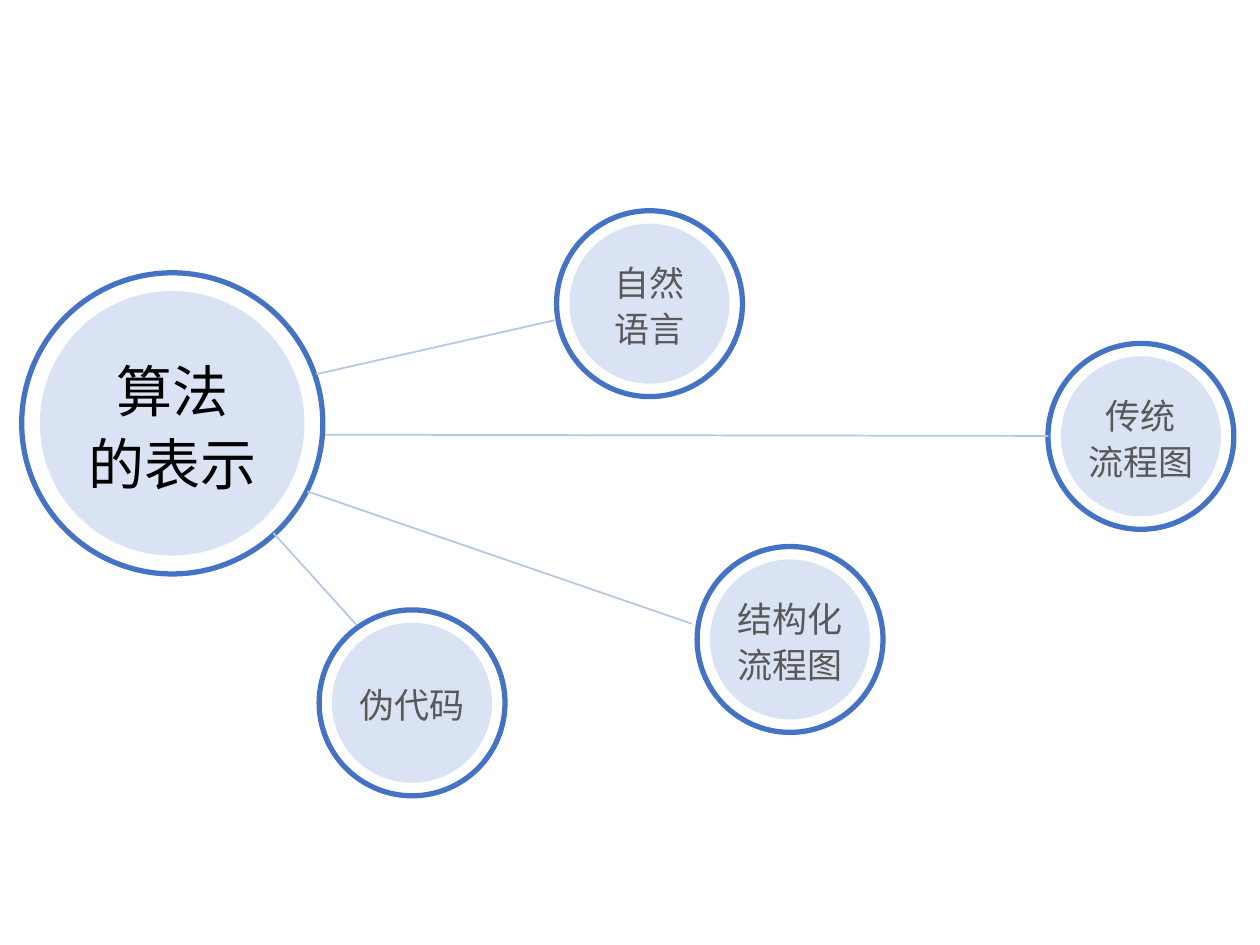
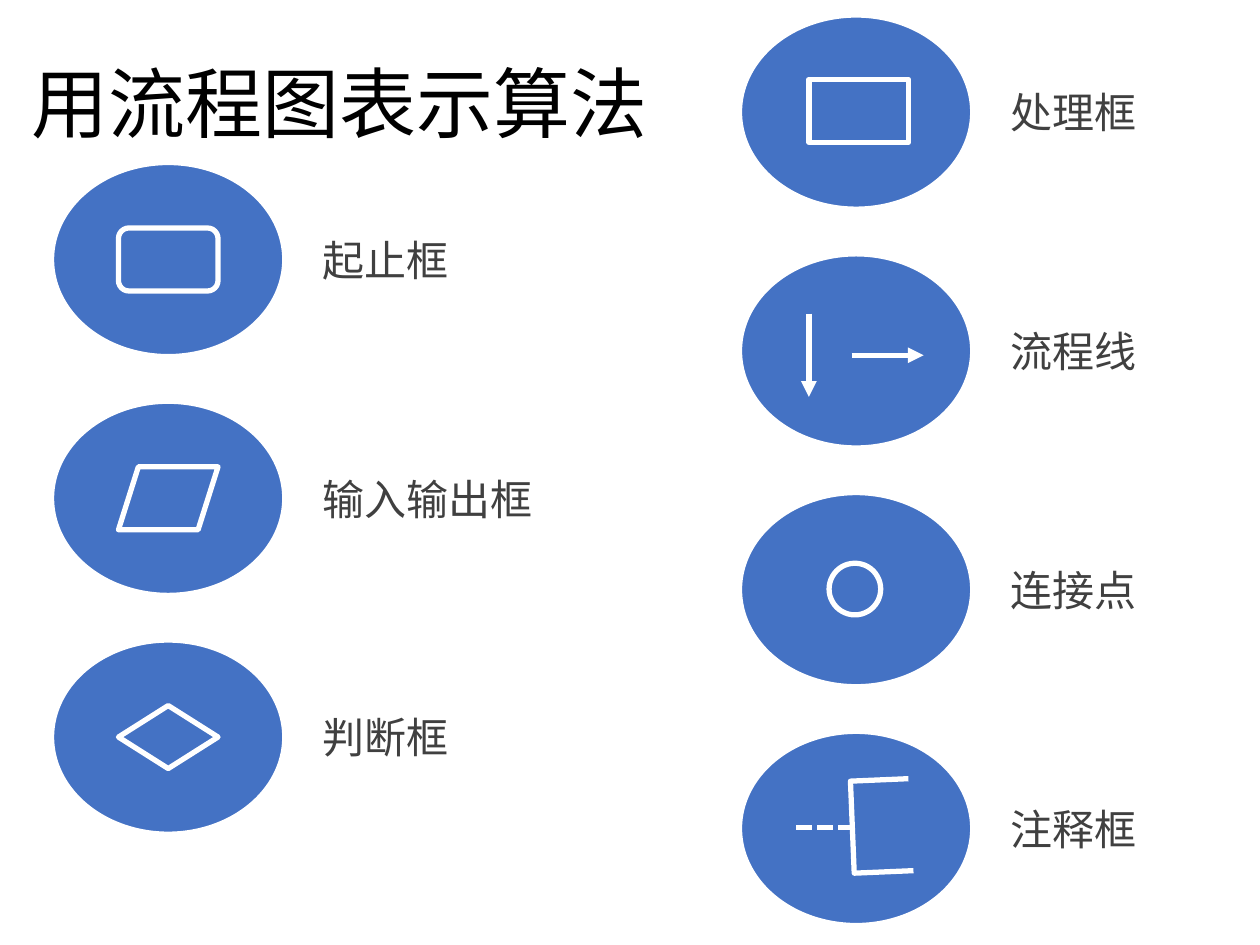
import dataclasses
import typing

import pptx
import pptx.dml.color
import pptx.enum.dml
import pptx.enum.shapes
import pptx.enum.text
import pptx.oxml
import pptx.oxml.ns
import pptx.util

RGBColor = pptx.dml.color.RGBColor
Shapes = pptx.enum.shapes.MSO_SHAPE
Align = pptx.enum.text.PP_ALIGN
Anchor = pptx.enum.text.MSO_ANCHOR

BLUE = RGBColor(0x44, 0x72, 0xC4)
PALE_BLUE = RGBColor(0xDA, 0xE3, 0xF3)
LINK_BLUE = RGBColor(0xB4, 0xC7, 0xE7)
WHITE = RGBColor(0xFF, 0xFF, 0xFF)
BLACK = RGBColor(0x00, 0x00, 0x00)
DARK_GREY = RGBColor(0x40, 0x40, 0x40)
MID_GREY = RGBColor(0x59, 0x59, 0x59)

LATIN_FONT = "Calibri"
CHINESE_FONT = "Noto Sans CJK SC"

SLIDE_WIDTH = pptx.util.Inches(10)
SLIDE_HEIGHT = pptx.util.Inches(7.5)
GRID_COLUMNS = 100  # square cells, so the slide has 75 rows

Point = tuple[float, float]


def cells(count: float) -> int:
    return round(SLIDE_WIDTH * count / GRID_COLUMNS)


@dataclasses.dataclass(frozen=True)
class Topic:
    text: str
    centre: Point
    disc: float = 12.7
    ring: float = 14.75
    size: int = 20
    colour: RGBColor = MID_GREY
    font: str = LATIN_FONT


@dataclasses.dataclass(frozen=True)
class Outline:
    """A preset symbol, placed from the corner of its badge."""
    preset: Shapes
    offset: Point = (5.2, 5.1)
    size: Point = (7.9, 5)


@dataclasses.dataclass(frozen=True)
class Stroke:
    """A straight symbol line, placed from the corner of its badge."""
    start: Point
    end: Point
    arrow: bool = False
    dashed: bool = False


@dataclasses.dataclass(frozen=True)
class Bracket:
    points: tuple[Point, ...]


@dataclasses.dataclass(frozen=True)
class Entry:
    name: str
    symbols: tuple[Outline | Stroke | Bracket, ...]
    label_width: float = 16.6


@dataclasses.dataclass(frozen=True)
class Column:
    left: float
    top: float
    entries: tuple[Entry, ...]


TOPICS = (
    Topic("算法\n的表示", (13.67, 33.6), 21, 23.9, 32, BLACK, CHINESE_FONT),
    Topic("伪代码", (32.7, 55.78)),
    Topic("结构化\n流程图", (62.7, 50.75)),
    Topic("传统\n流程图", (90.55, 34.63)),
    Topic("自然\n语言", (51.55, 24.1)),
)
TOPIC_LINKS = (
    ((21.7, 42.3), (28.3, 49.6)),
    ((25.1, 29.7), (44.1, 25.4)),
    ((24.4, 39), (54.9, 49.5)),
    ((25.8, 34.5), (83.2, 34.6)),
)

BADGE_SIZE = (18.3, 15.2)
BADGE_PITCH = 18.95
LABEL_OFFSET = (20.4, 5.1)
LABEL_HEIGHT = 5
COLUMNS = (
    Column(4.2, 13, (
        Entry("起止框", (Outline(Shapes.FLOWCHART_ALTERNATE_PROCESS),)),
        Entry("输入输出框", (Outline(Shapes.FLOWCHART_DATA),), 19.9),
        Entry("判断框", (Outline(Shapes.FLOWCHART_DECISION),)),
    )),
    Column(58.8, 1.3, (
        Entry("处理框", (Outline(Shapes.FLOWCHART_PROCESS, (5.4, 5)),)),
        Entry("流程线", (
            Stroke((5.4, 4.65), (5.4, 11.25), arrow=True),
            Stroke((8.8, 7.95), (14.5, 7.95), arrow=True),
        )),
        Entry("连接点", (
            Outline(Shapes.FLOWCHART_CONNECTOR, (7, 5.5), (4.1, 4.1)),
        )),
        Entry("注释框", (
            Stroke((4.4, 7.55), (8.8, 7.55), dashed=True),
            Bracket(((13.3, 3.65), (8.7, 3.85), (9, 11.15), (13.7, 10.95))),
        )),
    )),
)


def shifted(origin: Point, offset: Point) -> Point:
    return origin[0] + offset[0], origin[1] + offset[1]


def style_shape(shape, fill: RGBColor | None, line: RGBColor | None,
                width: float = 3) -> None:
    shape.shadow.inherit = False
    if fill is None:
        shape.fill.background()
    else:
        shape.fill.solid()
        shape.fill.fore_color.rgb = fill
    if line is None:
        shape.line.fill.background()
    else:
        shape.line.color.rgb = line
        shape.line.width = pptx.util.Pt(width)


def add_preset(slide, preset: Shapes, corner: Point, size: Point,
               fill: RGBColor | None, line: RGBColor | None,
               width: float = 3) -> typing.Any:
    shape = slide.shapes.add_shape(preset, *map(cells, corner + size))
    style_shape(shape, fill, line, width)
    return shape


def add_line(slide, start: Point, end: Point, colour: RGBColor,
             width: float) -> typing.Any:
    line = slide.shapes.add_connector(
        pptx.enum.shapes.MSO_CONNECTOR.STRAIGHT, *map(cells, start + end))
    line.line.color.rgb = colour
    line.line.width = pptx.util.Pt(width)
    properties = line._element.spPr
    properties.append(pptx.oxml.parse_xml(
        f'<a:effectLst {pptx.oxml.ns.nsdecls("a")}/>'))
    return line


def write(frame, text: str, size: int, colour: RGBColor,
          font: str = LATIN_FONT, align: Align = Align.LEFT,
          spacing: float = 1.0) -> None:
    frame.word_wrap = True
    frame.text = text
    for paragraph in frame.paragraphs:
        paragraph.alignment = align
        paragraph.line_spacing = spacing
        for run in paragraph.runs:
            run.font.size = pptx.util.Pt(size)
            run.font.color.rgb = colour
            run.font.name = font
            run.font._element.find(pptx.oxml.ns.qn("a:latin")).addnext(
                pptx.oxml.parse_xml(
                    f'<a:ea {pptx.oxml.ns.nsdecls("a")} '
                    f'typeface="{CHINESE_FONT}"/>'))


def add_text(slide, corner: Point, size: Point, text: str, points: int,
             colour: RGBColor, spacing: float = 1.0) -> typing.Any:
    box = slide.shapes.add_textbox(*map(cells, corner + size))
    write(box.text_frame, text, points, colour, spacing=spacing)
    return box.text_frame


def add_topic(slide, topic: Topic) -> None:
    def circle(diameter: float, fill: RGBColor | None,
               line: RGBColor | None) -> typing.Any:
        corner = shifted(topic.centre, (-diameter / 2, -diameter / 2))
        return add_preset(slide, Shapes.OVAL, corner, (diameter, diameter),
                          fill, line)

    frame = circle(topic.disc, PALE_BLUE, None).text_frame
    frame.margin_left = frame.margin_right = 0
    frame.margin_top = frame.margin_bottom = 0
    frame.vertical_anchor = Anchor.MIDDLE
    write(frame, topic.text, topic.size, topic.colour, topic.font,
          Align.CENTER, 1.1)
    circle(topic.ring, None, BLUE)


def add_symbol(slide, badge: Point,
               symbol: Outline | Stroke | Bracket) -> None:
    if isinstance(symbol, Outline):
        add_preset(slide, symbol.preset, shifted(badge, symbol.offset),
                   symbol.size, None, WHITE)
    elif isinstance(symbol, Stroke):
        line = add_line(slide, shifted(badge, symbol.start),
                        shifted(badge, symbol.end), WHITE, 3).line
        if symbol.dashed:
            line.dash_style = pptx.enum.dml.MSO_LINE.SQUARE_DOT
        if symbol.arrow:
            line._get_or_add_ln().append(pptx.oxml.parse_xml(
                f'<a:tailEnd {pptx.oxml.ns.nsdecls("a")} type="triangle"/>'))
    else:
        first, *others = [tuple(map(cells, shifted(badge, point)))
                          for point in symbol.points]
        outline = slide.shapes.build_freeform(*first)
        outline.add_line_segments(others, close=False)
        style_shape(outline.convert_to_shape(), None, WHITE)


def add_entry(slide, badge: Point, entry: Entry) -> None:
    add_preset(slide, Shapes.OVAL, badge, BADGE_SIZE, BLUE, WHITE, 1.5)
    add_text(slide, shifted(badge, LABEL_OFFSET),
             (entry.label_width, LABEL_HEIGHT), entry.name, 24, DARK_GREY)
    for symbol in entry.symbols:
        add_symbol(slide, badge, symbol)


def build_representations(slide) -> None:
    for topic in TOPICS:
        add_topic(slide, topic)
    for start, end in TOPIC_LINKS:
        add_line(slide, start, end, LINK_BLUE, 1)


def build_flowchart_symbols(slide) -> None:
    title = add_text(slide, (1.5, 1.3), (96, 14.5), "用流程图表示算法", 44,
                     BLACK, 0.9)
    title.vertical_anchor = Anchor.MIDDLE
    for column in COLUMNS:
        for row, entry in enumerate(column.entries):
            badge = (column.left, column.top + row * BADGE_PITCH)
            add_entry(slide, badge, entry)


def main() -> None:
    deck = pptx.Presentation()
    deck.slide_width = SLIDE_WIDTH
    deck.slide_height = SLIDE_HEIGHT
    blank = deck.slide_layouts[6]
    for build in (build_representations, build_flowchart_symbols):
        build(deck.slides.add_slide(blank))
    deck.save("out.pptx")


if __name__ == "__main__":
    main()
